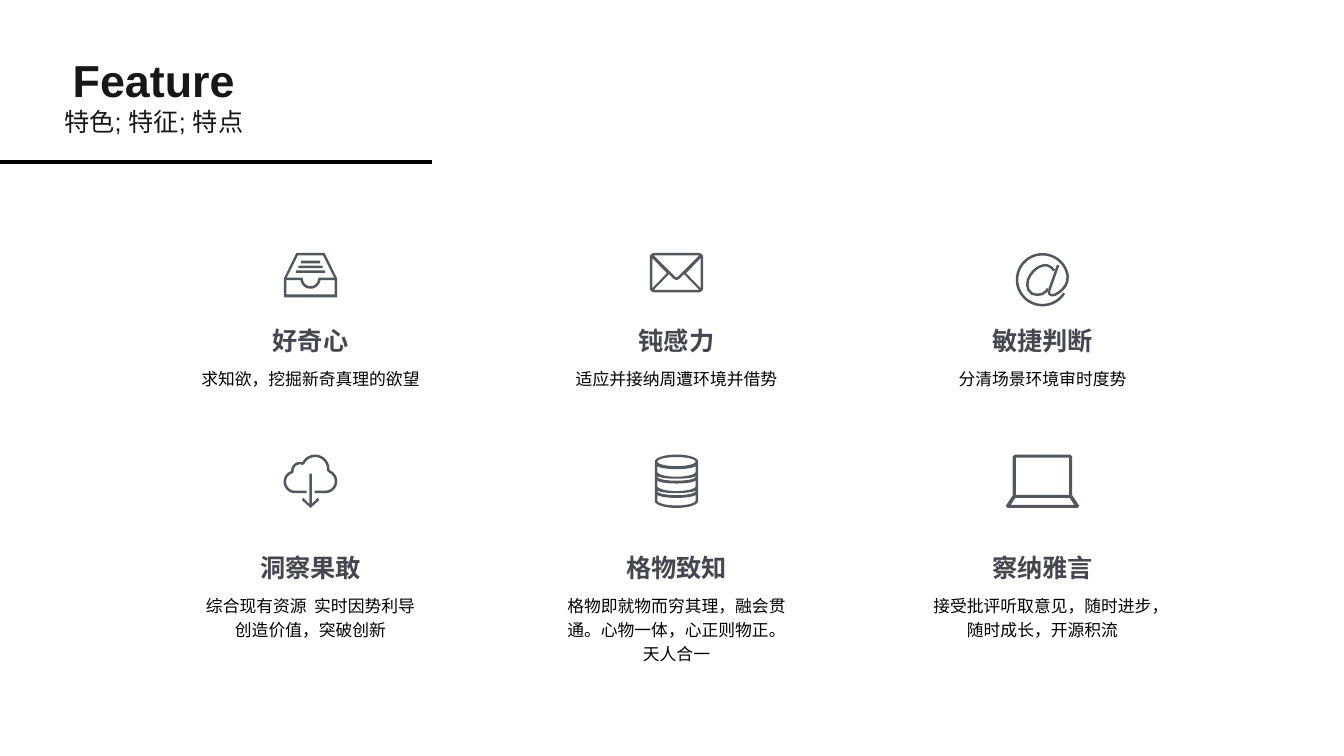
import math

import pptx
import pptx.dml.color
import pptx.enum.shapes
import pptx.enum.text
import pptx.oxml
import pptx.util

Inches = pptx.util.Inches
FONT = "Arial"
ICON_COLOUR = "53585F"
STROKE = 2.5
UNIT = 0.01
COLUMN_CENTRES = [3.08 + 3.63 * column for column in range(3)]
ROWS = [
    {"icon": 2.51, "heading": 3.14, "body": 3.57},
    {"icon": 4.51, "heading": 5.39, "body": 5.82},
]
HEADING = {"size": 18, "colour": "44474F", "bold": True}
BODY = {"size": 12, "colour": "000000", "bold": False}


def rgb(value):
    """Turn a hex string into a colour."""
    return pptx.dml.color.RGBColor.from_string(value)


def arc(x, y, radius_x, radius_y, start, end, steps=24):
    """Return points along an ellipse, with angles in degrees clockwise."""
    angles = [math.radians(start + (end - start) * i / steps) for i in range(steps + 1)]
    return [(x + radius_x * math.cos(a), y + radius_y * math.sin(a)) for a in angles]


def rectangle(left, top, right, bottom):
    """Return the corners of a rectangle."""
    return [(left, top), (right, top), (right, bottom), (left, bottom)]


def ribbon(points):
    """Return the outline of a stroke that follows the points."""
    left, right = [], []
    for i, (x, y) in enumerate(points):
        before, after = points[max(i - 1, 0)], points[min(i + 1, len(points) - 1)]
        run, rise = after[0] - before[0], after[1] - before[1]
        reach = STROKE / 2 / math.hypot(run, rise)
        left.append((x - rise * reach, y + run * reach))
        right.append((x + rise * reach, y - run * reach))
    return left + right[::-1]


def tray():
    """Return the contours of the paper tray."""
    shell = [(-26.5, 44), (-26.5, 25.5), (-14, 0), (14, 0), (26.5, 25.5), (26.5, 44)]
    upper = [(-12.5, 2.5), (12.5, 2.5), (23.5, 24.5), (8.5, 24.5)]
    upper += arc(0, 25.5, 7.5, 7.5, 0, 180) + [(-8.5, 24.5), (-23.5, 24.5)]
    lower = [(24, 41), (-24, 41), (-24, 27), (-9.5, 27)]
    lower += arc(0, 25.5, 10, 10, 171, 9) + [(24, 27)]
    sheets = []
    for i in range(3):
        half, middle = 14.5 - 2.5 * i, 18.5 - 4.75 * i
        sheets.append(rectangle(-half, middle - 1.25, half, middle + 1.25))
    return [shell, upper, lower] + sheets


def envelope():
    """Return the contours of the envelope."""
    shell = []
    for x, y, start in [(22, 4.5, 270), (22, 34.5, 0), (-22, 34.5, 90), (-22, 4.5, 180)]:
        shell += arc(x, y, 4.5, 4.5, start, start + 90, 6)
    sides = [[(s * 24, 5), (s * 9.5, 20), (s * 24, 35)] for s in (-1, 1)]
    bottom = [(-22.5, 36.5), (-7.5, 21), (-3, 25.5), (0, 27), (3, 25.5), (7.5, 21), (22.5, 36.5)]
    top = [(-22.5, 2.5), (22.5, 2.5), (1.5, 23.5), (0, 24.2), (-1.5, 23.5)]
    return [shell, bottom, top] + sides


def at_sign():
    """Return the contours of the at sign."""
    swirl = arc(0, 26.5, 25.25, 25.25, 32, 352, 48)
    swirl += [(24.5, 28), (23, 32), (20, 36), (16.5, 39), (12.5, 41.3), (9.5, 42),
              (7, 41), (6.3, 38), (7.5, 34.5), (15.5, 12)]
    bowl = [(11.5, 17.5), (9, 14.5), (5.5, 12.5), (2.5, 12), (-1.5, 13), (-5.5, 15),
            (-9.5, 18.5), (-12.5, 22.5), (-14.5, 27), (-15, 32), (-14, 36.5),
            (-10.5, 40.3), (-5.5, 41.5), (-0.5, 40.8), (3, 38.5), (5.5, 35.5)]
    return [ribbon(swirl), ribbon(bowl)]


def cloud():
    """Return the contours of the cloud with its arrow."""
    edge = [(-4, 37)] + arc(-15.5, 27, 10, 10, 90, 255)
    edge += arc(-10.5, 16, 7.5, 7.5, 178, 290) + arc(4.5, 14.25, 13, 13, 205, 365)
    edge += arc(14.75, 26.5, 10.5, 10.5, -65, 90) + [(4, 37)]
    arrow = [(-1.25, 19), (1.25, 19), (1.25, 49), (7, 43), (8.75, 45), (0, 53),
             (-8.75, 45), (-7, 43), (-1.25, 49)]
    return [ribbon(edge), arrow]


def band(top, bottom, top_depth, bottom_depth):
    """Return the outline of one curved tier."""
    return arc(0, top, 19, top_depth, 180, 0) + arc(0, bottom, 19, bottom_depth, 0, 180)


def database():
    """Return the contours of the stacked discs."""
    shell = arc(0, 7, 21.5, 7, 180, 360) + arc(0, 46, 21.5, 7, 0, 180)
    tiers = [band(11 + 14.25 * i, 17 + 14.25 * i, 3.5, 5) for i in range(3)]
    gaps = [band(21 + 14.25 * i, 22 + 14.25 * i, 3, 4) for i in range(2)]
    return [shell, arc(0, 7, 19, 4.5, 0, 360)] + tiers + gaps


def laptop():
    """Return the contours of the laptop."""
    half = [(29.5, 2), (29.5, 40.5), (36.5, 51), (34.5, 53)]
    shell = [(-27.5, 0), (27.5, 0)] + half + [(-x, y) for x, y in half[::-1]]
    base = [(-31.5, 50), (-27, 43), (27, 43), (31.5, 50)]
    return [shell, rectangle(-26.5, 3, 26.5, 40), base]


FEATURES = [
    [(tray, "好奇心", "求知欲，挖掘新奇真理的欲望", 0.34),
     (envelope, "钝感力", "适应并接纳周遭环境并借势", 0.34),
     (at_sign, "敏捷判断", "分清场景环境审时度势", 0.34)],
    [(cloud, "洞察果敢", "综合现有资源  实时因势利导创造价值，突破创新", 0.58),
     (database, "格物致知", "格物即就物而穷其理，融会贯通。心物一体，心正则物正。天人合一", 0.83),
     (laptop, "察纳雅言", "接受批评听取意见，随时进步，随时成长，开源积流", 0.58)],
]


def add_icon(page, contours, centre, top):
    """Draw the contours as one filled shape."""
    placed = [[(Inches(centre + x * UNIT), Inches(top + y * UNIT)) for x, y in contour]
              for contour in contours]
    builder = page.shapes.build_freeform(*placed[0][0])
    for i, contour in enumerate(placed):
        if i:
            builder.move_to(*contour[0])
        builder.add_line_segments(contour[1:], close=True)
    shape = builder.convert_to_shape()
    shape.shadow.inherit = False
    shape.fill.solid()
    shape.fill.fore_color.rgb = rgb(ICON_COLOUR)
    shape.line.fill.background()


def add_text(page, place, lines, spacing=1.0, frame_format=None):
    """Add a centred text box with one paragraph per line."""
    box = page.shapes.add_textbox(*[Inches(length) for length in place])
    frame = box.text_frame
    fit = pptx.enum.text.MSO_AUTO_SIZE.SHAPE_TO_FIT_TEXT
    for name, value in {"word_wrap": True, "auto_size": fit, **(frame_format or {})}.items():
        setattr(frame, name, value)
    for i, (text, style) in enumerate(lines):
        para = frame.add_paragraph() if i else frame.paragraphs[0]
        para.alignment = pptx.enum.text.PP_ALIGN.CENTER
        para.line_spacing = spacing
        span = para.add_run()
        span.text = text
        font_format = {"name": FONT, "size": pptx.util.Pt(style["size"]), "bold": style["bold"]}
        for name, value in font_format.items():
            setattr(span.font, name, value)
        span.font.color.rgb = rgb(style["colour"])


def add_rule(page, right, y):
    """Add the thick line below the title."""
    rule = page.shapes.add_connector(
        pptx.enum.shapes.MSO_CONNECTOR.STRAIGHT, 0, Inches(y), Inches(right), Inches(y))
    rule.line.color.rgb = rgb("000000")
    rule.line.width = pptx.util.Pt(3)
    rule._element.spPr.append(pptx.oxml.parse_xml(
        '<a:effectLst xmlns:a="http://schemas.openxmlformats.org/drawingml/2006/main"/>'))


def add_feature(page, feature, centre, row):
    """Add an icon with its heading and description."""
    icon, heading, body, height = feature
    add_icon(page, icon(), centre, row["icon"])
    width = 0.14 + 0.25 * len(heading)
    margins = {"margin_" + side: Inches(0.06) for side in ("left", "top", "right", "bottom")}
    add_text(page, (centre - width / 2, row["heading"], width, 0.44), [(heading, HEADING)], 1.1,
             {"word_wrap": False, "vertical_anchor": pptx.enum.text.MSO_ANCHOR.MIDDLE, **margins})
    add_text(page, (centre - 2.39 / 2, row["body"], 2.39, height), [(body, BODY)], 1.2)


def main():
    """Build the slide and save it."""
    deck = pptx.Presentation()
    deck.slide_width, deck.slide_height = Inches(13.33), Inches(7.5)
    page = deck.slides.add_slide(deck.slide_layouts[6])
    add_text(page, (0, 0.47, 3.05, 0.94), [
        ("Feature", {"size": 32, "colour": "181717", "bold": True}),
        ("特色; 特征; 特点", {"size": 18, "colour": "181717", "bold": False})])
    add_rule(page, 4.28, 1.61)
    for row, features in zip(ROWS, FEATURES):
        for centre, feature in zip(COLUMN_CENTRES, features):
            add_feature(page, feature, centre, row)
    deck.save("out.pptx")


if __name__ == "__main__":
    main()
